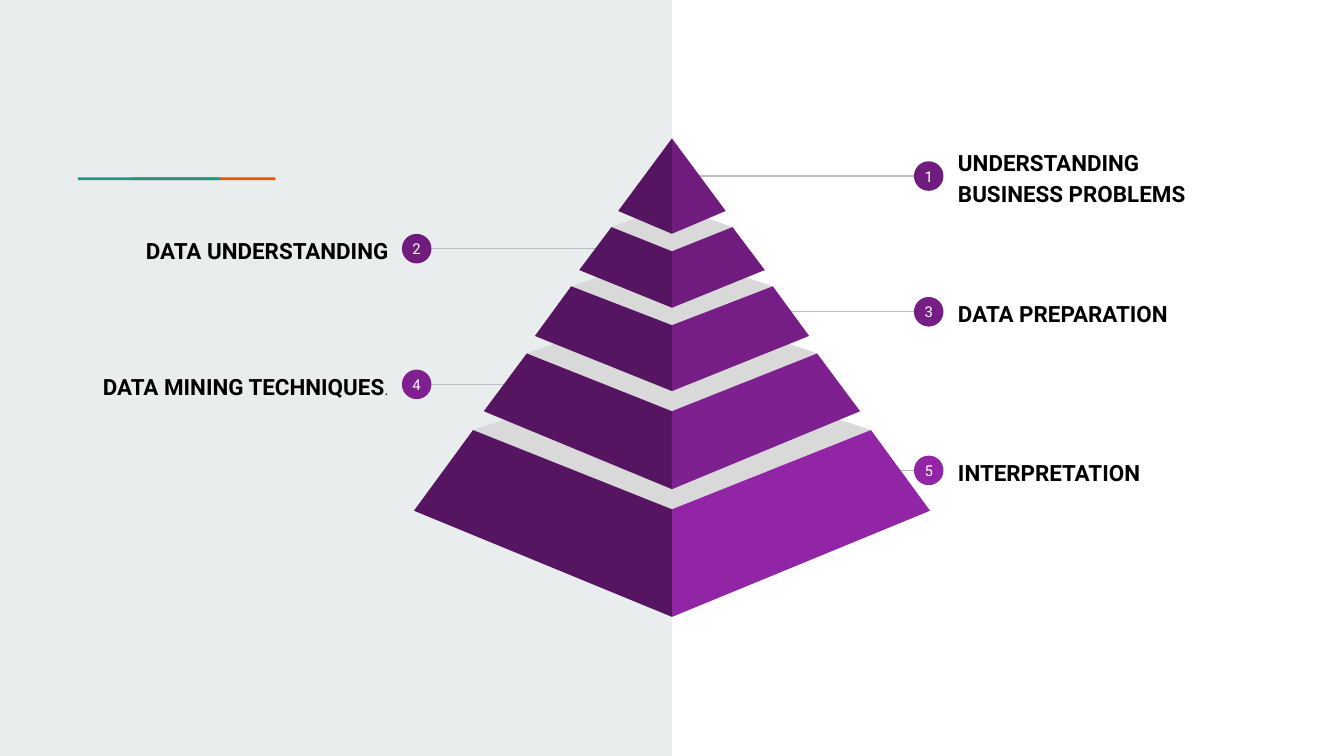
from dataclasses import dataclass

from lxml.etree import SubElement
from pptx import Presentation
from pptx.dml.color import RGBColor
from pptx.enum.shapes import MSO_CONNECTOR, MSO_SHAPE
from pptx.enum.text import MSO_ANCHOR, PP_ALIGN
from pptx.oxml.ns import qn
from pptx.util import Inches, Pt


@dataclass(frozen=True)
class Theme:
    font: str = "Roboto"
    panel: str = "E9EDEE"
    orange: str = "EB5600"
    teal: str = "1A9988"
    rule: str = "BDBDBD"
    cap: str = "D9D9D9"
    dark_face: str = "551561"
    light_faces: tuple = ("701C7F", "701C7F", "761E86", "7F2090", "9225A5")
    text: str = "000000"
    badge_text: str = "FFFFFF"
    label_size: int = 12
    small_size: int = 8


@dataclass(frozen=True)
class Side:
    badge_x: float
    label_left: float
    align: PP_ALIGN


THEME = Theme()
LEFT = Side(3.1, 0.66, PP_ALIGN.RIGHT)
RIGHT = Side(6.91, 7.03, PP_ALIGN.LEFT)
SLIDE_WIDTH = 10
SLIDE_HEIGHT = SLIDE_WIDTH * 9 / 16
CENTER = SLIDE_WIDTH / 2
BADGE_SIZE = 0.22
LABEL_WIDTH, LABEL_HEIGHT = 2.33, 0.82

# Half width, outer y and centre y of the top edge, then of the base edge; back y of the cap
TIERS = [
    (0, 1.03, 1.03, 0.4, 1.57, 1.74, None),
    (0.45, 1.69, 1.87, 0.69, 2.01, 2.29, 1.53),
    (0.75, 2.13, 2.42, 1.02, 2.5, 2.91, 1.88),
    (1.08, 2.63, 3.06, 1.4, 3.06, 3.64, 2.26),
    (1.48, 3.2, 3.79, 1.92, 3.8, 4.59, 2.71),
]

# Centre y, x where the line starts, side, label runs
CALLOUTS = [
    (1.31, 5.17, RIGHT, ["UNDERSTANDING BUSINESS PROBLEMS"]),
    (1.85, 4.45, LEFT, ["DATA UNDERSTANDING"]),
    (2.32, 5.76, RIGHT, ["DATA PREPARATION"]),
    (2.86, 3.96, LEFT, ["DATA MINING TECHNIQUES", "."]),
    (3.5, 6.32, RIGHT, ["INTERPRETATION"]),
]


def paint(shape, color):
    shape.shadow.inherit = False
    shape.fill.solid()
    shape.fill.fore_color.rgb = RGBColor.from_string(color)
    shape.line.fill.background()


def add_filled(slide, kind, left, top, width, height, color):
    shape = slide.shapes.add_shape(
        kind, Inches(left), Inches(top), Inches(width), Inches(height))
    paint(shape, color)
    return shape


def add_polygon(slide, points, color):
    corners = [(Inches(x), Inches(y)) for x, y in dict.fromkeys(points)]
    builder = slide.shapes.build_freeform(*corners[0], scale=1.0)
    builder.add_line_segments(corners[1:], close=True)
    paint(builder.convert_to_shape(), color)


def add_rule(slide, start_x, end_x, y):
    line = slide.shapes.add_connector(
        MSO_CONNECTOR.STRAIGHT, Inches(start_x), Inches(y), Inches(end_x), Inches(y))
    line.line.color.rgb = RGBColor.from_string(THEME.rule)
    line.line.width = Pt(0.75)
    SubElement(line._element.spPr, qn("a:effectLst"))


def write_run(paragraph, text, *, size, color, bold=False):
    run = paragraph.add_run()
    run.text = text
    run.font.name = THEME.font
    run.font.size = Pt(size)
    run.font.bold = bold
    run.font.color.rgb = RGBColor.from_string(color)


def prepare_paragraph(shape, *, align, inset, spacing=1.0):
    """Set up the text frame and return its first paragraph."""
    frame = shape.text_frame
    frame.word_wrap = True
    frame.vertical_anchor = MSO_ANCHOR.MIDDLE
    frame.margin_left = frame.margin_right = Inches(inset)
    frame.margin_top = frame.margin_bottom = Inches(inset)
    paragraph = frame.paragraphs[0]
    paragraph.alignment = align
    paragraph.line_spacing = spacing
    return paragraph


def add_callout(slide, number, y, line_start, side, label_runs, color):
    add_rule(slide, line_start, side.badge_x, y)
    badge = add_filled(slide, MSO_SHAPE.OVAL, side.badge_x - BADGE_SIZE / 2,
                       y - BADGE_SIZE / 2, BADGE_SIZE, BADGE_SIZE, color)
    paragraph = prepare_paragraph(badge, align=PP_ALIGN.CENTER, inset=0)
    write_run(paragraph, str(number), size=THEME.small_size, color=THEME.badge_text)

    label = slide.shapes.add_textbox(
        Inches(side.label_left), Inches(y - LABEL_HEIGHT / 2),
        Inches(LABEL_WIDTH), Inches(LABEL_HEIGHT))
    paragraph = prepare_paragraph(label, align=side.align, inset=0.1, spacing=1.15)
    title, *suffixes = label_runs
    write_run(paragraph, title, size=THEME.label_size, color=THEME.text, bold=True)
    for suffix in suffixes:
        write_run(paragraph, suffix, size=THEME.small_size, color=THEME.text)


def add_tier(slide, tier, light_color):
    top_half, top_y, top_center_y, base_half, base_y, base_center_y, back_y = tier
    if back_y is not None:
        add_polygon(slide, [(CENTER - top_half, top_y), (CENTER, top_center_y),
                            (CENTER + top_half, top_y), (CENTER, back_y)], THEME.cap)
    for side, color in ((-1, THEME.dark_face), (1, light_color)):
        add_polygon(slide, [(CENTER + side * top_half, top_y), (CENTER, top_center_y),
                            (CENTER, base_center_y), (CENTER + side * base_half, base_y)], color)


def main():
    presentation = Presentation()
    presentation.slide_width = Inches(SLIDE_WIDTH)
    presentation.slide_height = Inches(SLIDE_HEIGHT)
    slide = presentation.slides.add_slide(presentation.slide_layouts[6])

    add_filled(slide, MSO_SHAPE.RECTANGLE, 0, 0, CENTER, SLIDE_HEIGHT, THEME.panel)
    for left, color in ((0.99, THEME.orange), (0.58, THEME.teal)):
        add_filled(slide, MSO_SHAPE.RECTANGLE, left, 1.32, 1.06, 0.02, color)

    for number, (callout, color) in enumerate(zip(CALLOUTS, THEME.light_faces), start=1):
        add_callout(slide, number, *callout, color)
    for tier, color in reversed(list(zip(TIERS, THEME.light_faces))):
        add_tier(slide, tier, color)

    presentation.save("out.pptx")


if __name__ == "__main__":
    main()
